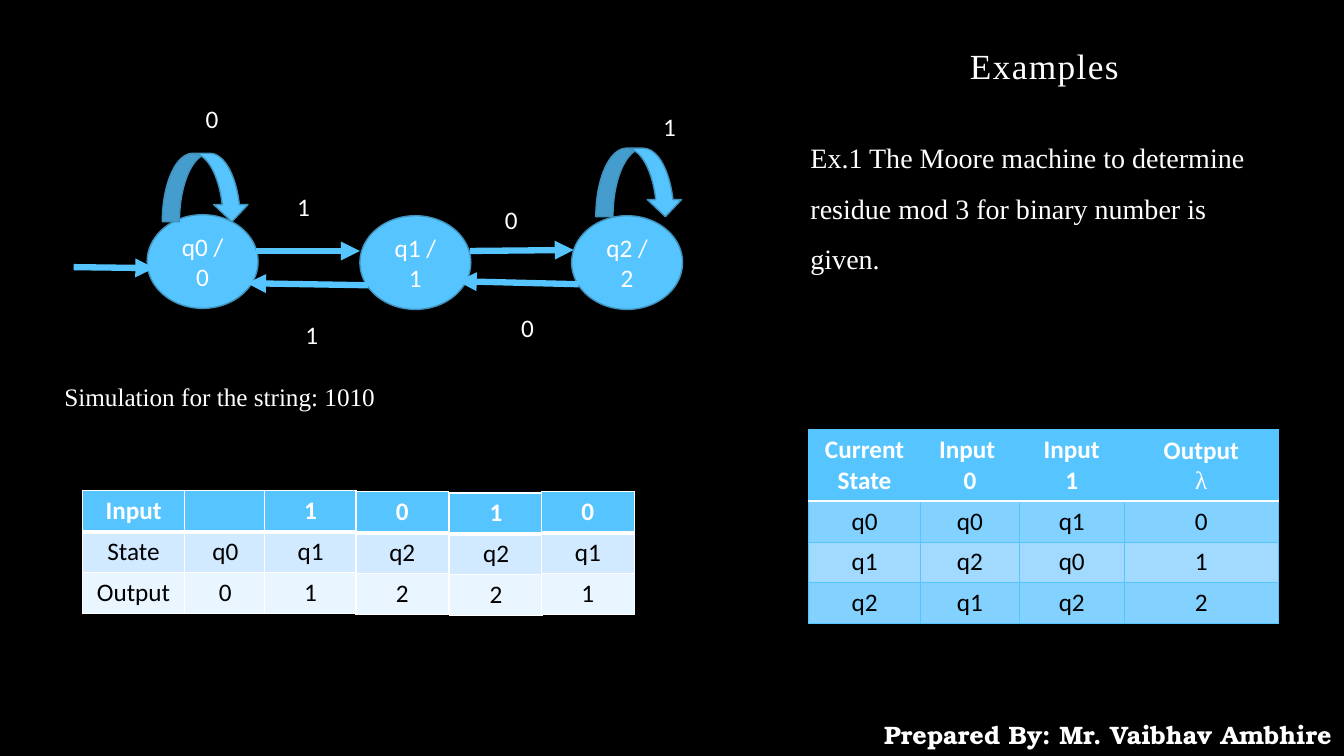
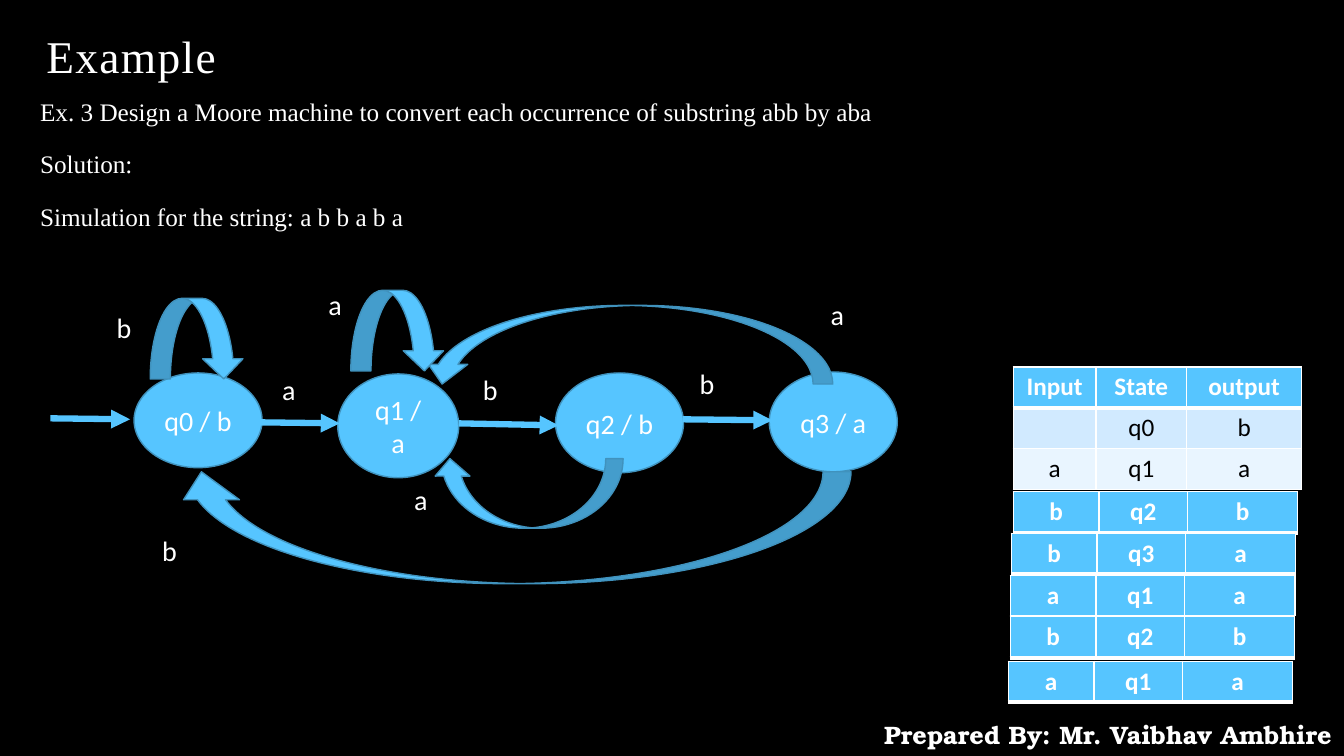
"""Build two slides of Moore machine examples with state diagrams and tables."""
from lxml import etree
from pptx import Presentation
from pptx.dml.color import RGBColor
from pptx.enum.shapes import MSO_CONNECTOR, MSO_SHAPE
from pptx.enum.text import MSO_ANCHOR, MSO_AUTO_SIZE, PP_ALIGN
from pptx.oxml.ns import qn
from pptx.util import Inches, Pt

CENTER, LEFT = PP_ALIGN.CENTER, PP_ALIGN.LEFT
MIDDLE, TOP, BOTTOM = MSO_ANCHOR.MIDDLE, MSO_ANCHOR.TOP, MSO_ANCHOR.BOTTOM
NO_FIT = MSO_AUTO_SIZE.NONE
OVAL, CURVED = MSO_SHAPE.OVAL, MSO_SHAPE.CURVED_DOWN_ARROW
STRAIGHT = MSO_CONNECTOR.STRAIGHT

BLACK, WHITE, BLUE, EDGE = "000000", "FFFFFF", "56C5FF", "4092BD"
LIGHT_ROWS = ["D1EAFF", "E9F5FF"]
MID_ROWS = ["82D1FF", "A2DAFF"]
SANS, SERIF, FOOTER = "Calibri", "Times New Roman", "TeX Gyre Bonum"
rgb = RGBColor.from_string


def write(tf, text, size, font=SANS, color=WHITE, bold=False, align=LEFT,
          spacing=None, gap=0, anchor=TOP):
    """Fill a text frame, one paragraph per line of text."""
    tf.text = text
    tf.word_wrap = True
    tf.auto_size = NO_FIT
    tf.vertical_anchor = anchor
    for i, p in enumerate(tf.paragraphs):
        p.alignment = align
        p.font.name, p.font.size, p.font.bold = font, Pt(size), bold
        p.font.color.rgb = rgb(color)
        if spacing:
            p.line_spacing = spacing
        if i:
            p.space_before = Pt(gap)


def add_table(s, x, y, cols, rows, row_tints, border=(WHITE, 1),
              head_border=(WHITE, 3), anchor=TOP):
    """Add a table with a blue header row and tinted body rows."""
    frame = s.shapes.add_table(len(rows), len(cols), Inches(x), Inches(y),
                               Inches(sum(cols)), Inches(0.4 * len(rows)))
    table = frame.table
    table.horz_banding = False
    for column, width in zip(table.columns, cols):
        column.width = Inches(width)
    for i, row in enumerate(rows):
        for j, text in enumerate(row):
            cell = table.cell(i, j)
            write(cell.text_frame, text, 18, color=BLACK if i else WHITE,
                  bold=i == 0, align=CENTER)
            cell.vertical_anchor = anchor
            sides = {"lnL": border, "lnR": border,
                     "lnT": head_border if i == 1 else border,
                     "lnB": border if i else head_border}
            for side, (color, width) in sides.items():
                ln = etree.SubElement(cell._tc.get_or_add_tcPr(),
                                      qn("a:" + side), w=str(Pt(width)))
                fill = etree.SubElement(ln, qn("a:solidFill"))
                etree.SubElement(fill, qn("a:srgbClr"), val=color)
            cell.fill.solid()
            cell.fill.fore_color.rgb = rgb(row_tints[(i - 1) % 2] if i else BLUE)
    return table


slides = [
    {
        "title": ("Examples", 25.2, (9.52, 0.42, 3.3, 0.49)),
        "texts": [
            ("Ex.1 The Moore machine to determine residue mod 3 for "
             "binary number is given.", 20, 1.5, (7.94, 1.18, 4.57, 2.64)),
            ("Simulation for the string: 1010", 18, 1.5,
             (0.54, 3.58, 6.03, 0.51)),
        ],
        "size": 18,
        "states": [
            ("q0 / 0", 1.46, 2.13, 1.1, 0.93),
            ("q1 / 1", 3.57, 2.14, 1.1, 0.93),
            ("q2 / 2", 5.67, 2.14, 1.1, 0.93),
        ],
        "arrows": [
            (0.73, 2.65, 1.53, 2.66), (2.54, 2.49, 3.57, 2.49),
            (4.66, 2.49, 5.69, 2.48), (5.74, 2.82, 4.54, 2.79),
            (3.65, 2.83, 2.45, 2.81),
        ],
        "curves": [
            (5.91, 1.47, 0.86, 0.68, 0, False),
            (1.61, 1.52, 0.86, 0.68, 0, False),
        ],
        "labels": [
            ("0", 1.94, 0.98), ("1", 2.85, 1.85), ("1", 2.93, 3.12),
            ("0", 4.91, 1.98), ("1", 6.48, 1.06), ("0", 5.07, 3.05),
        ],
    },
    {
        "title": ("Example", 32.4, (0.36, 0.35, 9.98, 0.53)),
        "texts": [
            ("Ex. 3 Design a Moore machine to convert each occurrence of "
             "substring abb by aba\nSolution:\n"
             "Simulation for the string: a b b a b a", 18, 0.9,
             (0.3, 0.94, 12.3, 1.49)),
        ],
        "size": 20,
        "states": [
            ("q0 / b", 1.33, 3.7, 1.27, 0.94),
            ("q1 / a", 3.35, 3.71, 1.2, 1.03),
            ("q2 / b", 5.51, 3.7, 1.27, 0.99),
            ("q3 / a", 7.63, 3.69, 1.27, 0.99),
        ],
        "arrows": [
            (0.5, 4.15, 1.29, 4.16), (6.77, 4.16, 7.66, 4.17),
            (4.55, 4.2, 5.54, 4.22), (2.57, 4.19, 3.37, 4.2),
        ],
        "curves": [
            (1.49, 2.96, 0.93, 0.8, 0, False),
            (1.72, 4.68, 6.72, 1.11, 180, False),
            (4.19, 3.03, 4.07, 0.78, 0, True),
            (4.29, 4.55, 1.89, 0.69, 180, False),
            (3.48, 2.88, 0.93, 0.8, 0, False),
        ],
        "labels": [
            ("b", 6.84, 3.59), ("a", 2.7, 3.65), ("b", 4.69, 3.65),
            ("b", 1.06, 3.03), ("a", 8.14, 2.9), ("b", 1.51, 5.24),
            ("a", 4.01, 4.74), ("a", 3.16, 2.8),
        ],
    },
]

prs = Presentation()
prs.slide_width, prs.slide_height = Inches(13.33), Inches(7.5)
layout = prs.slide_layouts[5]
layout.background.fill.solid()
layout.background.fill.fore_color.rgb = rgb(BLACK)

for data in slides:
    s = prs.slides.add_slide(layout)

    text, size, box = data["title"]
    title = s.shapes.title
    title.left, title.top, title.width, title.height = map(Inches, box)
    write(title.text_frame, text, size, SERIF, spacing=0.9, anchor=BOTTOM)
    r = title.text_frame.paragraphs[0].runs[0]
    r._r.get_or_add_rPr().set("spc", "100")

    for text, size, spacing, box in data["texts"]:
        sp = s.shapes.add_textbox(*map(Inches, box))
        write(sp.text_frame, text, size, SERIF, spacing=spacing, gap=18)

    outlines = []
    for text, *box in data["states"]:
        sp = s.shapes.add_shape(OVAL, *map(Inches, box))
        write(sp.text_frame, text, data["size"], align=CENTER, anchor=MIDDLE)
        outlines.append(sp)

    for ends in data["arrows"]:
        arrow = s.shapes.add_connector(STRAIGHT, *map(Inches, ends))
        arrow.line.color.rgb = rgb(BLUE)
        arrow.line.width = Pt(4.5)
        etree.SubElement(arrow.line._get_or_add_ln(), qn("a:tailEnd"),
                         type="triangle")
        etree.SubElement(arrow._element.spPr, qn("a:effectLst"))

    for *box, rotation, flipped in data["curves"]:
        sp = s.shapes.add_shape(CURVED, *map(Inches, box))
        sp.rotation = rotation
        if flipped:
            sp._element.spPr.xfrm.set("flipH", "1")
        outlines.append(sp)

    for sp in outlines:
        sp.shadow.inherit = False
        sp.fill.solid()
        sp.fill.fore_color.rgb = rgb(BLUE)
        sp.line.color.rgb = rgb(EDGE)
        sp.line.width = Pt(1)

    for text, x, y in data["labels"]:
        sp = s.shapes.add_textbox(Inches(x), Inches(y), Inches(0.44), Inches(0.42))
        write(sp.text_frame, text, data["size"])

first, second = prs.slides

footer = first.shapes.add_textbox(Inches(8.64), Inches(7.09), Inches(4.7), Inches(0.4))
write(footer.text_frame, "Prepared By: Mr. Vaibhav Ambhire", 18, FOOTER,
      bold=True, align=CENTER)
layout.shapes.element.append(footer._element)

transitions = add_table(
    first, 8.02, 4.26, [1.11, 0.98, 1.04, 1.53],
    [["Current State", "Input \n0", "Input\n1", "Output\nλ"],
     ["q0", "q0", "q1", "0"],
     ["q1", "q2", "q0", "1"],
     ["q2", "q1", "q2", "2"]],
    MID_ROWS, border=(BLUE, 0.5), head_border=(WHITE, 1), anchor=MIDDLE)
p = transitions.cell(0, 3).text_frame.paragraphs[1]
p.font.name, p.font.bold = SERIF, False

add_table(first, 0.82, 4.87, [1.01, 0.81],
          [["Input", ""], ["State", "q0"], ["Output", "0"]], LIGHT_ROWS)
steps = [(2.62, 4.87, "1", "q1", "1"), (3.53, 4.88, "0", "q2", "2"),
         (4.46, 4.89, "1", "q2", "2"), (5.37, 4.88, "0", "q1", "1")]
for x, y, *column in steps:
    add_table(first, x, y, [0.92], [[text] for text in column], LIGHT_ROWS)

add_table(second, 10.05, 3.64, [0.82, 0.9, 1.14],
          [["Input", "State", "output"], ["", "q0", "b"], ["a", "q1", "a"]],
          LIGHT_ROWS)
steps = [(10.05, 4.88, ["b", "q2", "b"]),
         (10.03, 5.29, ["b", "q3", "a"], ["", "", ""]),
         (10.02, 5.71, ["a", "q1", "a"]),
         (10.02, 6.12, ["b", "q2", "b"]),
         (10, 6.56, ["a", "q1", "a"])]
for x, y, *rows in steps:
    add_table(second, x, y, [0.85, 0.88, 1.09], rows, LIGHT_ROWS)

prs.save("out.pptx")
